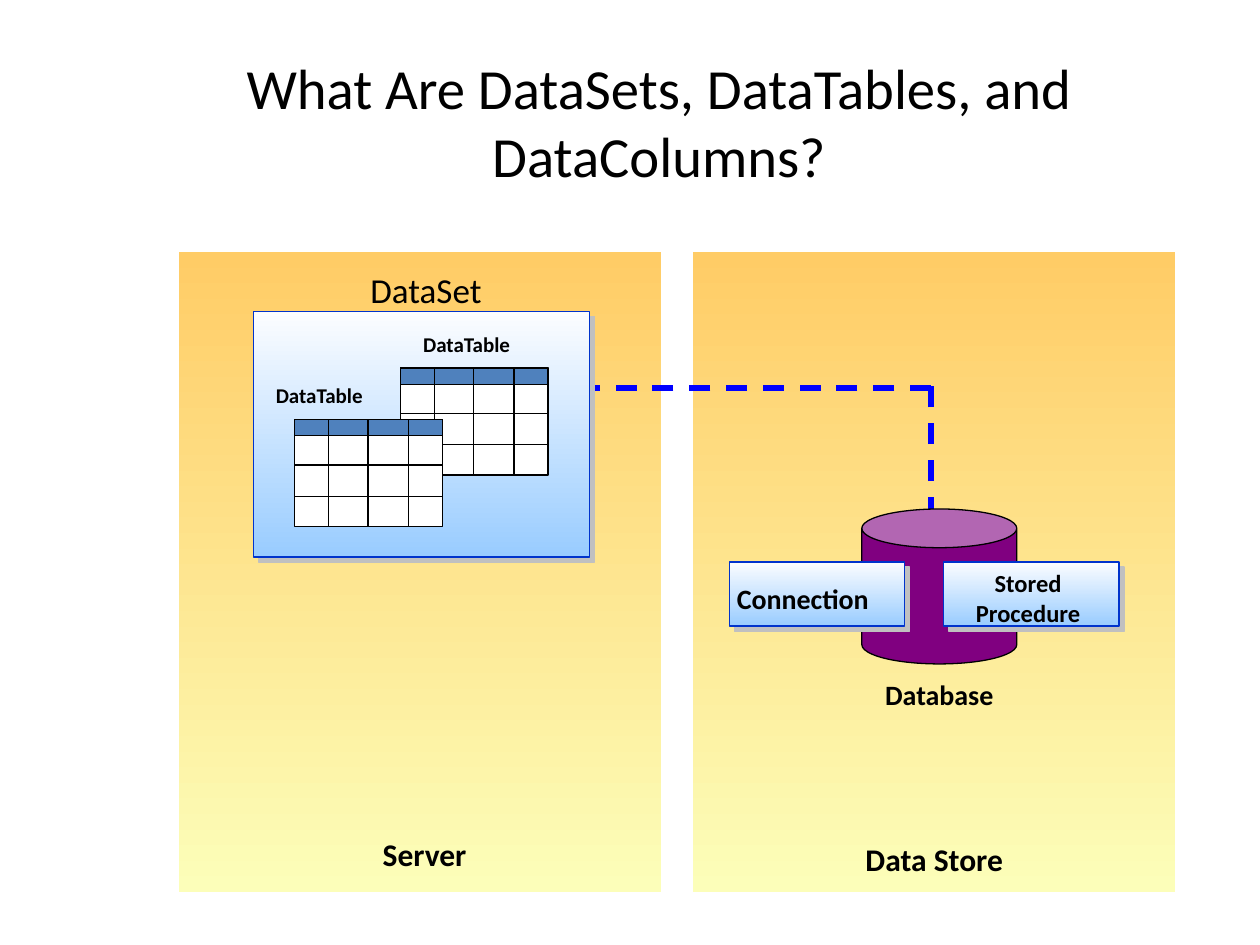
from lxml.etree import SubElement
from pptx import Presentation
from pptx.dml.color import RGBColor
from pptx.enum.dml import MSO_LINE
from pptx.enum.shapes import MSO_CONNECTOR, MSO_SHAPE
from pptx.enum.text import MSO_ANCHOR, PP_ALIGN
from pptx.oxml.ns import qn
from pptx.util import Inches, Pt

BLACK = RGBColor(0x00, 0x00, 0x00)
WHITE = RGBColor(0xFF, 0xFF, 0xFF)
ORANGE = RGBColor(0xFF, 0xCC, 0x66)
CREAM = RGBColor(0xFC, 0xFE, 0xB9)
PALE = RGBColor(0xFC, 0xFD, 0xFF)
SKY = RGBColor(0x99, 0xCC, 0xFF)
EDGE = RGBColor(0x00, 0x33, 0xCC)
LINK = RGBColor(0x00, 0x00, 0xFF)
PURPLE = RGBColor(0x80, 0x00, 0x80)
HEAD = RGBColor(0x4F, 0x81, 0xBD)
FONT = "Calibri"


def add_text(slide, text, x, y, w, h, size, bold=True,
             align=PP_ALIGN.CENTER, anchor=MSO_ANCHOR.TOP):
    box = slide.shapes.add_textbox(Inches(x), Inches(y), Inches(w), Inches(h))
    frame = box.text_frame
    frame.word_wrap = True
    frame.vertical_anchor = anchor
    frame.text = text
    para = frame.paragraphs[0]
    para.alignment = align
    font = para.runs[0].font
    font.name, font.size, font.bold = FONT, Pt(size), bold
    font.color.rgb = BLACK


def add_block(slide, kind, x, y, w, h, fill, edge=None):
    """Add a shape; fill is one colour or a (top, bottom) gradient pair."""
    shape = slide.shapes.add_shape(kind, Inches(x), Inches(y), Inches(w), Inches(h))
    if isinstance(fill, RGBColor):
        shape.fill.solid()
        shape.fill.fore_color.rgb = fill
    else:
        shape.fill.gradient()
        shape.fill.gradient_angle = 270
        for stop, color, pos in zip(shape.fill.gradient_stops, fill, (0, 1)):
            stop.color.rgb = color
            stop.position = pos
    if edge is None:
        shape.line.fill.background()
    else:
        shape.line.color.rgb = edge
        shape.line.width = Pt(0.75)
    shape.shadow.inherit = False
    return shape


def add_line(slide, x1, y1, x2, y2, color=BLACK, width=0.75, dash=None):
    line = slide.shapes.add_connector(
        MSO_CONNECTOR.STRAIGHT, Inches(x1), Inches(y1), Inches(x2), Inches(y2))
    line.line.color.rgb = color
    line.line.width = Pt(width)
    if dash:
        line.line.dash_style = dash
    SubElement(line._element.spPr, qn("a:effectLst"))


def add_card(slide, x, y, w, h):
    """Add a blue box with a hard grey shadow at its lower right."""
    card = add_block(slide, MSO_SHAPE.RECTANGLE, x, y, w, h, (PALE, SKY), EDGE)
    effects = card._element.spPr.find(qn("a:effectLst"))
    shadow = SubElement(effects, qn("a:outerShdw"), blurRad="0",
                        dist=str(Pt(4.2)), dir="2700000", algn="ctr", rotWithShape="0")
    SubElement(shadow, qn("a:srgbClr"), val="C0C0C0")


def add_panel(slide, x, y):
    add_block(slide, MSO_SHAPE.RECTANGLE, x, y, 3.83, 5.08, (ORANGE, CREAM))


def add_grid(slide, x, y):
    """Add a small table icon with a coloured header row."""
    w, h = 1.17, 0.85
    add_block(slide, MSO_SHAPE.RECTANGLE, x, y, w, h, WHITE, BLACK)
    for dy in (0.36, 0.61):
        add_line(slide, x, y + dy, x + w, y + dy)
    add_block(slide, MSO_SHAPE.RECTANGLE, x, y, w, 0.13, HEAD, BLACK)
    for dx in (0.27, 0.58, 0.9):
        add_line(slide, x + dx, y, x + dx, y + h)


def add_link(slide, x1, x2, y1, y2):
    add_line(slide, x2, y2, x2, y1 - 0.06, LINK, 3, MSO_LINE.DASH)
    add_line(slide, x2, y1, x1, y1, LINK, 3, MSO_LINE.DASH)


def add_store(slide, x, y):
    """Add the database can, its two cards and their labels."""
    can = add_block(slide, MSO_SHAPE.CAN, x + 1.34, y + 2.04, 1.23, 1.23, PURPLE, BLACK)
    can.adjustments[0] = 0.25
    for dx in (0.29, 1.99):
        add_card(slide, x + dx, y + 2.46, 1.39, 0.51)
    add_text(slide, "Connection", x + 0.25, y + 2.57, 1.5, 0.37, 16, align=PP_ALIGN.LEFT)
    add_text(slide, "Stored Procedure", x + 1.91, y + 2.46, 1.5, 0.57, 14)
    add_text(slide, "Database", x + 1.33, y + 3.33, 1.25, 0.37, 16)
    add_text(slide, "Data Store", x + 1.08, y + 4.62, 1.67, 0.4, 18)


def add_server(slide, x, y):
    """Add the data set card with its two tables and the labels."""
    add_card(slide, x + 0.59, y + 0.47, 2.67, 1.95)
    for dx, dy, tx in ((1.76, 0.92, 1.84), (0.92, 1.33, 0.67)):
        add_grid(slide, x + dx, y + dy)
        add_text(slide, "DataTable", x + tx, y + dy - 0.34, 1.08, 0.3, 12,
                 align=PP_ALIGN.LEFT)
    add_text(slide, "DataSet", x + 1.42, y + 0.08, 1.25, 0.43, 20, False, PP_ALIGN.LEFT)
    add_text(slide, "Server", x + 1.41, y + 4.58, 1.08, 0.4, 18)


def main():
    deck = Presentation()
    deck.slide_width, deck.slide_height = Inches(10), Inches(7.5)
    slide = deck.slides.add_slide(deck.slide_layouts[6])
    left, right, top = 1.42, 5.5, 2
    for x in (left, right):
        add_panel(slide, x, top)
    add_text(slide, "What Are DataSets, DataTables, and DataColumns?",
             0.75, 0.5, 8.96, 0.92, 32.4, False, anchor=MSO_ANCHOR.MIDDLE)
    add_link(slide, 4.64, 7.39, 3.08, 4.11)
    add_store(slide, right, top)
    add_server(slide, left, top)
    deck.save("out.pptx")


if __name__ == "__main__":
    main()
